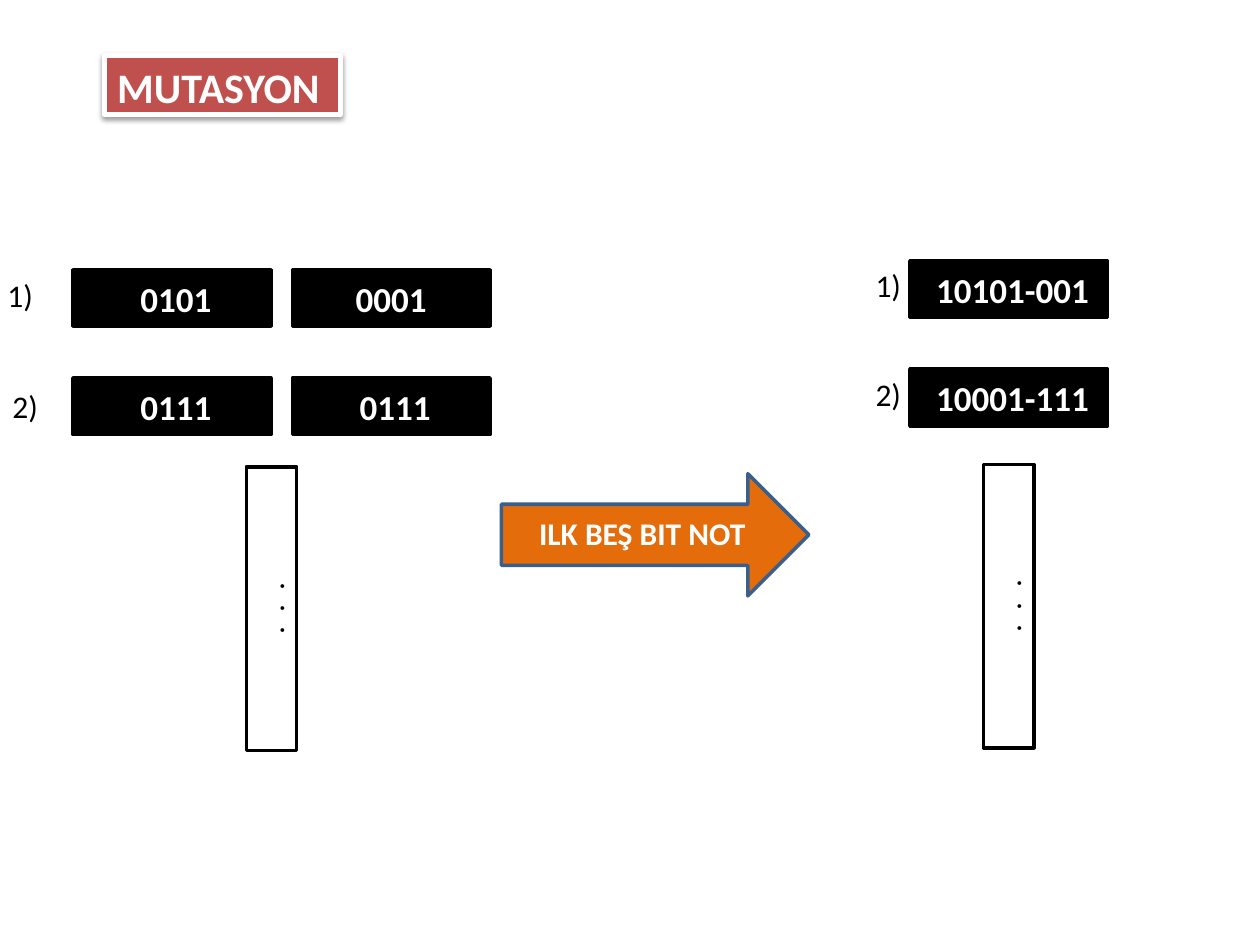
from lxml import etree
from pptx import Presentation
from pptx.dml.color import RGBColor
from pptx.enum.shapes import MSO_SHAPE as SHAPE
from pptx.enum.text import MSO_ANCHOR as ANCHOR, MSO_AUTO_SIZE as AUTO, PP_ALIGN as ALIGN
from pptx.oxml.ns import nsdecls
from pptx.util import Inches, Pt

BLACK = RGBColor(0x00, 0x00, 0x00)
WHITE = RGBColor(0xFF, 0xFF, 0xFF)
RED = RGBColor(0xC0, 0x50, 0x4D)
ORANGE = RGBColor(0xE4, 0x6C, 0x0A)
BLUE = RGBColor(0x3A, 0x5F, 0x8C)

FONT = "Calibri"
BOX_W, BOX_H = 1.57, 0.45
ROW_STEP = 0.86
COLUMN_STEP = 1.74


def paint(sp, fill, line, width):
    sp.fill.solid()
    sp.fill.fore_color.rgb = fill
    sp.line.color.rgb = line
    sp.line.width = Pt(width)


def write(sp, text, size, color, bold=False, align=ALIGN.CENTER):
    tf = sp.text_frame
    tf.text = text
    p = tf.paragraphs[0]
    p.alignment = align
    font = p.runs[0].font
    font.name, font.size, font.bold = FONT, Pt(size), bold
    font.color.rgb = color


def add_block(slide, kind, x, y, w, h, fill, line):
    sp = slide.shapes.add_shape(kind, Inches(x), Inches(y), Inches(w), Inches(h))
    sp.shadow.inherit = False
    paint(sp, fill, line, 2)
    return sp


def add_label(slide, text, x, y, w, color=BLACK, bold=False):
    sp = slide.shapes.add_textbox(Inches(x), Inches(y), Inches(w), Inches(0.4))
    sp.text_frame.word_wrap = False
    sp.text_frame.auto_size = AUTO.SHAPE_TO_FIT_TEXT
    write(sp, text, 18, color, bold, ALIGN.LEFT)


def add_title(slide, text, x, y, w, h):
    sp = slide.shapes.title
    sp.left, sp.top, sp.width, sp.height = Inches(x), Inches(y), Inches(w), Inches(h)
    paint(sp, RED, WHITE, 3)
    sp._element.spPr.append(etree.fromstring(
        f'<a:effectLst {nsdecls("a")}>'
        f'<a:outerShdw blurRad="{Pt(3.1)}" dist="{Pt(1.6)}" dir="5400000" rotWithShape="0">'
        '<a:srgbClr val="000000"><a:alpha val="38000"/></a:srgbClr>'
        '</a:outerShdw></a:effectLst>'))
    tf = sp.text_frame
    tf.auto_size = AUTO.NONE
    tf.vertical_anchor = ANCHOR.TOP
    write(sp, text, 24, WHITE, True, ALIGN.LEFT)


def add_population(slide, x, y, rows, labels):
    """Rows of bit boxes; labels gives each row number's offset from (x, y)."""
    for i, (row, (dx, dy)) in enumerate(zip(rows, labels)):
        for j, bits in enumerate(row):
            sp = add_block(slide, SHAPE.RECTANGLE, x + j * COLUMN_STEP,
                           y + i * ROW_STEP, BOX_W, BOX_H, BLACK, BLACK)
            write(sp, bits, 20, WHITE, True)
        add_label(slide, f"{i + 1})", x + dx, y + dy, 0.41)


def add_ellipsis(slide, x, y):
    """Upright box with three dots, made by turning a flat one."""
    sp = add_block(slide, SHAPE.RECTANGLE, x, y, 2.25, 0.4, WHITE, BLACK)
    sp.rotation = 270
    write(sp, ".  .  .", 18, BLACK)


def add_step(slide, text, x, y, w, h):
    add_block(slide, SHAPE.RIGHT_ARROW, x, y, w, h, ORANGE, BLUE)
    add_label(slide, text, x + 0.2, y + 0.27, 1.86, WHITE, True)


def main():
    prs = Presentation()
    prs.slide_width, prs.slide_height = Inches(10), Inches(7.5)
    slide = prs.slides.add_slide(prs.slide_layouts[5])

    add_title(slide, "MUTASYON", 0.83, 0.44, 1.87, 0.47)
    add_population(slide, 0.58, 2.14, [(" 0101", "0001"), (" 0111", " 0111")],
                   [(-0.62, 0), (-0.58, 0.88)])
    add_ellipsis(slide, 1.03, 4.63)
    add_step(slide, "ILK BEŞ BIT NOT", 3.98, 3.76, 2.44, 0.97)
    add_population(slide, 7.22, 2.07, [(" 10101-001",), (" 10001-111",)],
                   [(-0.37, -0.01), (-0.37, 0.86)])
    add_ellipsis(slide, 6.88, 4.61)

    prs.save("out.pptx")


if __name__ == "__main__":
    main()
